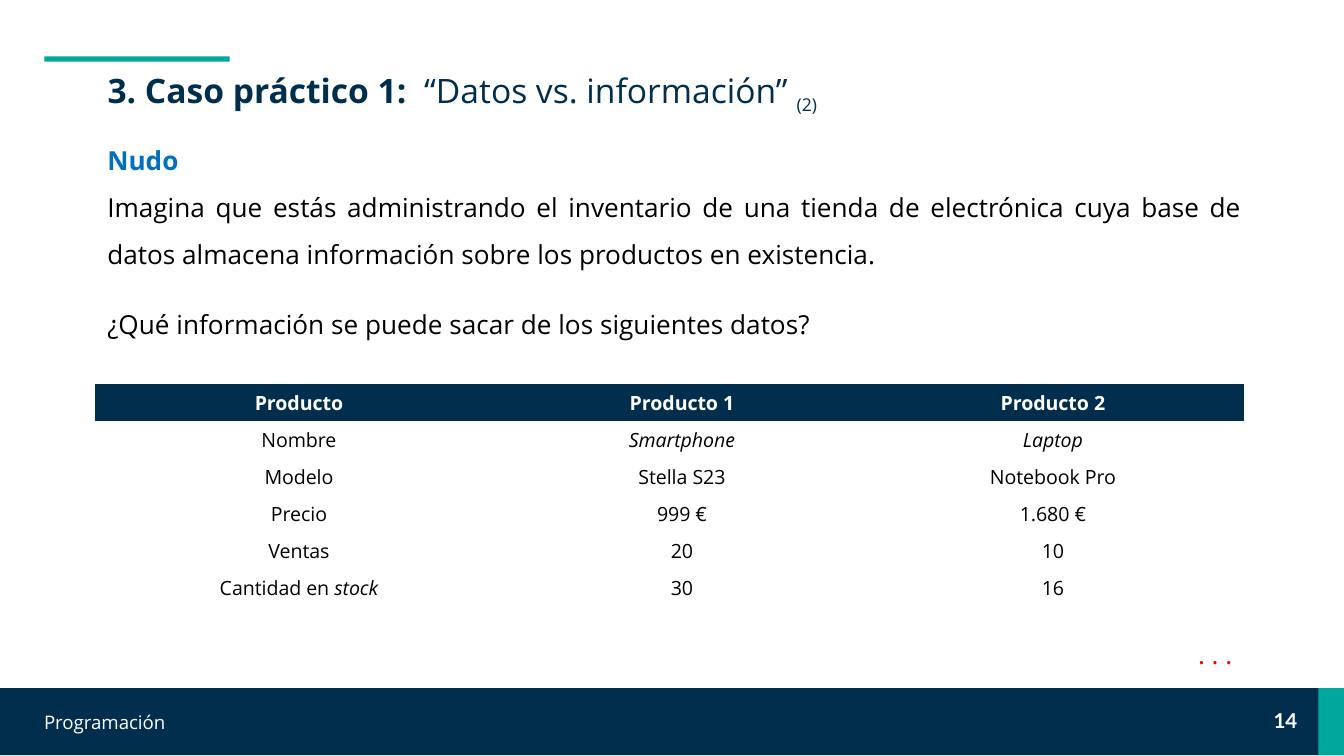
from dataclasses import dataclass

from pptx import Presentation
from pptx.dml.color import RGBColor
from pptx.enum.shapes import MSO_SHAPE
from pptx.enum.text import MSO_ANCHOR, MSO_AUTO_SIZE, PP_ALIGN
from pptx.slide import Slide
from pptx.text.text import TextFrame
from pptx.util import Inches, Pt

NAVY = RGBColor(0x00, 0x2E, 0x4C)
TEAL = RGBColor(0x00, 0xA8, 0x9C)
BLUE = RGBColor(0x00, 0x70, 0xC0)
RED = RGBColor(0xFF, 0x00, 0x00)
BLACK = RGBColor(0x00, 0x00, 0x00)
WHITE = RGBColor(0xFF, 0xFF, 0xFF)

RECTANGLE = MSO_SHAPE.RECTANGLE
TOP, MIDDLE = MSO_ANCHOR.TOP, MSO_ANCHOR.MIDDLE
NO_AUTOFIT = MSO_AUTO_SIZE.NONE
LEFT, CENTER = PP_ALIGN.LEFT, PP_ALIGN.CENTER
RIGHT, JUSTIFY = PP_ALIGN.RIGHT, PP_ALIGN.JUSTIFY

BODY_FONT = "Open Sans"
NUMBER_FONT = "Lato"
NO_STYLE_TABLE = "{2D5ABB26-0587-4C30-8999-92F81FD0307C}"


@dataclass(frozen=True)
class Box:
    left: float
    top: float
    width: float
    height: float

    def lengths(self) -> tuple:
        return tuple(Inches(n) for n in (self.left, self.top, self.width, self.height))


@dataclass(frozen=True)
class Band:
    box: Box
    color: RGBColor


@dataclass(frozen=True)
class Style:
    size: float
    color: RGBColor
    bold: bool = False
    font: str = BODY_FONT
    align: PP_ALIGN = LEFT


@dataclass(frozen=True)
class Label:
    text: str
    box: Box
    style: Style
    anchor: MSO_ANCHOR = TOP
    inset_x: float = 0.1
    inset_y: float = 0.05


BANDS = [
    Band(Box(0.33, 0.42, 1.38, 0.04), TEAL),
    Band(Box(0, 5.12, 10, 0.5), NAVY),
    Band(Box(9.81, 5.12, 0.19, 0.5), TEAL),
]
LABELS = [
    Label("14", Box(9.35, 5.17, 0.43, 0.38),
          Style(11, WHITE, True, NUMBER_FONT, CENTER), MIDDLE, 0.01, 0.01),
    Label(". . .", Box(8.71, 4.7, 0.56, 0.34), Style(14, RED, align=RIGHT)),
    Label("Programación", Box(0.23, 5.24, 1.86, 0.27), Style(10, WHITE)),
]
TITLE_BOX = Box(0.7, 0.42, 8.81, 0.44)
STATEMENT_BOX = Box(0.7, 0.86, 8.64, 1.71)
STATEMENT = [
    ("Nudo", Style(14, BLUE, True, align=JUSTIFY), 0),
    ("Imagina que estás administrando el inventario de una tienda de electrónica "
     "cuya base de datos almacena información sobre los productos en existencia.",
     Style(14, BLACK, align=JUSTIFY), 0),
    ("¿Qué información se puede sacar de los siguientes datos?",
     Style(14, BLACK, align=JUSTIFY), 12),
]
LINE_SPACING = 1.5

INVENTORY_BOX = Box(0.71, 2.86, 8.55, 1.65)
COLUMN_WIDTHS = [3.03, 2.67, 2.85]
INVENTORY = [
    ["Producto", "Producto 1", "Producto 2"],
    ["Nombre", "Smartphone", "Laptop"],
    ["Modelo", "Stella S23", "Notebook Pro"],
    ["Precio", "999 €", "1.680 €"],
    ["Ventas", "20", "10"],
    ["Cantidad en stock", "30", "16"],
]
ITALIC_WORDS = {"Smartphone", "Laptop", "stock"}
HEADER_STYLE = Style(10.5, WHITE, True, align=CENTER)
CELL_STYLE = Style(10.5, BLACK, align=CENTER)


def format_paragraph(paragraph, style: Style) -> None:
    paragraph.alignment = style.align
    font = paragraph.font
    font.name = style.font
    font.size = Pt(style.size)
    font.bold = style.bold
    font.color.rgb = style.color


def set_frame(frame: TextFrame, anchor: MSO_ANCHOR, inset_x: float, inset_y: float) -> None:
    frame.word_wrap = True
    frame.auto_size = NO_AUTOFIT
    frame.vertical_anchor = anchor
    frame.margin_left = frame.margin_right = Inches(inset_x)
    frame.margin_top = frame.margin_bottom = Inches(inset_y)


def draw_band(slide: Slide, band: Band) -> None:
    bar = slide.shapes.add_shape(RECTANGLE, *band.box.lengths())
    bar.shadow.inherit = False
    bar.fill.solid()
    bar.fill.fore_color.rgb = band.color
    bar.line.fill.background()


def draw_label(slide: Slide, label: Label) -> None:
    frame = slide.shapes.add_textbox(*label.box.lengths()).text_frame
    set_frame(frame, label.anchor, label.inset_x, label.inset_y)
    frame.text = label.text
    format_paragraph(frame.paragraphs[0], label.style)


def draw_title(slide: Slide) -> None:
    title = slide.shapes.title
    title.left, title.top, title.width, title.height = TITLE_BOX.lengths()
    set_frame(title.text_frame, TOP, 0.1, 0.1)
    heading = title.text_frame.paragraphs[0]
    format_paragraph(heading, Style(18, NAVY))
    heading.add_run().text = "3. Caso práctico 1:  "
    heading.runs[0].font.bold = True
    heading.add_run().text = "“Datos vs. información” "
    part_number = heading.add_run()
    part_number.text = "(2)"
    part_number.font.size = Pt(16.2)
    part_number.font._element.set("baseline", "-25000")


def draw_statement(slide: Slide) -> None:
    frame = slide.shapes.add_textbox(*STATEMENT_BOX.lengths()).text_frame
    set_frame(frame, TOP, 0.1, 0.1)
    for index, (text, style, space_before) in enumerate(STATEMENT):
        paragraph = frame.add_paragraph() if index else frame.paragraphs[0]
        paragraph.text = text
        paragraph.line_spacing = LINE_SPACING
        if space_before:
            paragraph.space_before = Pt(space_before)
        format_paragraph(paragraph, style)


def fill_cell(cell, text: str, is_header: bool) -> None:
    cell.vertical_anchor = MIDDLE
    cell.margin_top = cell.margin_bottom = Inches(0.02)
    if is_header:
        cell.fill.solid()
        cell.fill.fore_color.rgb = NAVY
    else:
        cell.fill.background()
    paragraph = cell.text_frame.paragraphs[0]
    format_paragraph(paragraph, HEADER_STYLE if is_header else CELL_STYLE)
    start, space, last_word = text.rpartition(" ")
    if last_word in ITALIC_WORDS:
        if start:
            paragraph.add_run().text = start + space
        italic = paragraph.add_run()
        italic.text = last_word
        italic.font.italic = True
    else:
        paragraph.add_run().text = text


def draw_inventory(slide: Slide) -> None:
    table = slide.shapes.add_table(
        len(INVENTORY), len(COLUMN_WIDTHS), *INVENTORY_BOX.lengths()).table
    table.horz_banding = False
    table._tbl.tblPr.find("{*}tableStyleId").text = NO_STYLE_TABLE
    for column, width in zip(table.columns, COLUMN_WIDTHS):
        column.width = Inches(width)
    for row_index, values in enumerate(INVENTORY):
        for column_index, text in enumerate(values):
            fill_cell(table.cell(row_index, column_index), text, row_index == 0)


def main() -> None:
    presentation = Presentation()
    presentation.slide_width = Inches(10)
    presentation.slide_height = Inches(10 * 9 / 16)
    slide = presentation.slides.add_slide(presentation.slide_layouts[5])
    for band in BANDS:
        draw_band(slide, band)
    draw_statement(slide)
    draw_title(slide)
    for label in LABELS:
        draw_label(slide, label)
    draw_inventory(slide)
    presentation.save("out.pptx")


if __name__ == "__main__":
    main()
